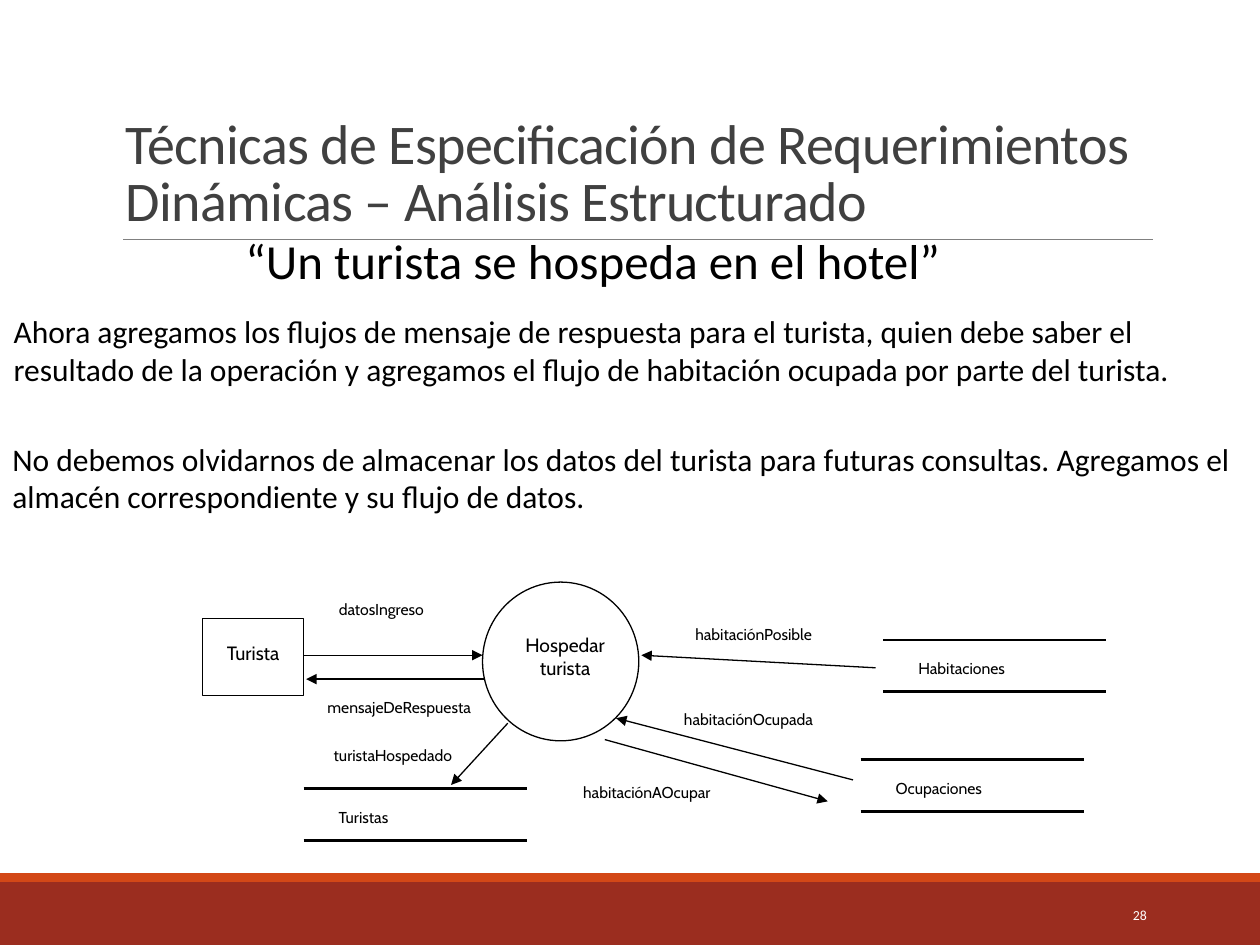
import dataclasses

import pptx
import pptx.dml.color
import pptx.enum.shapes
import pptx.enum.text
import pptx.oxml
import pptx.oxml.ns
import pptx.util

Inches = pptx.util.Inches
Pt = pptx.util.Pt
RGBColor = pptx.dml.color.RGBColor
Shape = pptx.enum.shapes.MSO_SHAPE
Align = pptx.enum.text.PP_ALIGN
Anchor = pptx.enum.text.MSO_ANCHOR

BLACK = RGBColor(0, 0, 0)
WHITE = RGBColor(255, 255, 255)
GRAY = RGBColor(0x80, 0x80, 0x80)
DARK = RGBColor(0x40, 0x40, 0x40)
RED = RGBColor(0x9B, 0x2D, 0x1F)
ORANGE = RGBColor(0xD3, 0x48, 0x17)


@dataclasses.dataclass
class Box:
    left: float
    top: float
    width: float
    height: float


@dataclasses.dataclass
class Style:
    size: float
    font: str = "Cabin"
    color: RGBColor = BLACK
    align: Align = Align.LEFT
    anchor: Anchor = Anchor.TOP
    inset: float = 0.05


@dataclasses.dataclass
class Label:
    text: str
    box: Box
    style: Style


@dataclasses.dataclass
class Flow:
    name: str
    left: float
    top: float
    start: tuple[float, float]
    end: tuple[float, float]


@dataclasses.dataclass
class Store:
    name: str
    left: float
    top: float


SMALL = Style(9)
NODE = Style(11, align=Align.CENTER)
BODY = Style(18, "Calibri")

LABELS = [
    Label("Técnicas de Especificación de Requerimientos\vDinámicas – Análisis Estructurado",
          Box(0.9, 0.31, 8.25, 1.59),
          Style(32, "Calibri", DARK, anchor=Anchor.BOTTOM)),
    Label("“Un turista se hospeda en el hotel”",
          Box(1.85, 1.78, 6.93, 0.57), Style(28, "Calibri")),
    Label("Ahora agregamos los flujos de mensaje de respuesta para el turista, "
          "quien debe saber el resultado de la operación y agregamos el flujo "
          "de habitación ocupada por parte del turista.",
          Box(0.01, 2.43, 9.8, 1.01), BODY),
    Label("No debemos olvidarnos de almacenar los datos del turista para "
          "futuras consultas. Agregamos el almacén correspondiente y su "
          "flujo de datos.",
          Box(0, 3.44, 10, 1.01), BODY),
    Label("28", Box(8.12, 7.06, 1.08, 0.4),
          Style(7.9, "Calibri", WHITE, Align.RIGHT, Anchor.MIDDLE)),
]

FLOWS = [
    Flow("datosIngreso", 2.59, 4.71, (2.41, 5.2), (3.83, 5.2)),
    Flow("mensajeDeRespuesta", 2.5, 5.49, (3.85, 5.39), (2.43, 5.39)),
    Flow("turistaHospedado", 2.55, 5.87, (4.03, 5.74), (3.58, 6.23)),
    Flow("habitaciónPosible", 5.42, 4.91, (6.95, 5.3), (5.09, 5.2)),
    Flow("habitaciónOcupada", 5.33, 5.58, (6.77, 6.19), (4.89, 5.7)),
    Flow("habitaciónAOcupar", 4.53, 6.16, (4.8, 5.87), (6.57, 6.36)),
]

STORES = [
    Store("Habitaciones", 7.01, 5.08),
    Store("Ocupaciones", 6.83, 6.03),
    Store("Turistas", 2.41, 6.26),
]


def place(box: Box) -> list:
    return [Inches(n) for n in dataclasses.astuple(box)]


def write(shape, text: str, style: Style) -> None:
    frame = shape.text_frame
    frame.text = text
    frame.word_wrap = True
    frame.vertical_anchor = style.anchor
    frame.margin_top = Inches(style.inset)
    par = frame.paragraphs[0]
    par.alignment = style.align
    for run in par.runs:
        run.font.size = Pt(style.size)
        run.font.name = style.font
        run.font.color.rgb = style.color


def add_label(slide, label: Label):
    shape = slide.shapes.add_textbox(*place(label.box))
    write(shape, label.text, label.style)
    return shape


def add_shape(slide, kind: Shape, box: Box, fill: RGBColor, edge: bool = False):
    shape = slide.shapes.add_shape(kind, *place(box))
    shape.shadow.inherit = False
    shape.fill.solid()
    shape.fill.fore_color.rgb = fill
    if edge:
        shape.line.color.rgb = BLACK
        shape.line.width = Pt(0.75)
    else:
        shape.line.fill.background()
    return shape


def add_line(slide, start: tuple[float, float], end: tuple[float, float],
             width: float, color: RGBColor = BLACK, arrow: bool = False) -> None:
    kind = pptx.enum.shapes.MSO_CONNECTOR.STRAIGHT
    line = slide.shapes.add_connector(kind, *[Inches(n) for n in start + end])
    line.line.color.rgb = color
    line.line.width = Pt(width)
    if arrow:
        tail = pptx.oxml.parse_xml(
            f'<a:tailEnd {pptx.oxml.ns.nsdecls("a")} type="triangle"/>')
        line.line._get_or_add_ln().append(tail)
    line._element.spPr.append(pptx.oxml.parse_xml(
        f'<a:effectLst {pptx.oxml.ns.nsdecls("a")}/>'))


def add_flow(slide, flow: Flow) -> None:
    add_line(slide, flow.start, flow.end, 0.75, arrow=True)
    add_label(slide, Label(flow.name, Box(flow.left, flow.top, 1.59, 0.29), SMALL))


def add_store(slide, store: Store) -> None:
    for y in (store.top, store.top + 0.41):
        add_line(slide, (store.left, y), (store.left + 1.77, y), 1.5)
    box = Box(store.left + 0.18, store.top + 0.1, 1.24, 0.39)
    add_label(slide, Label(store.name, box, SMALL))


def main() -> None:
    deck = pptx.Presentation()
    deck.slide_width = Inches(10)
    deck.slide_height = Inches(7.5)
    slide = deck.slides.add_slide(deck.slide_layouts[6])

    add_shape(slide, Shape.RECTANGLE, Box(0, 7, 10, 0.5), RED)
    add_shape(slide, Shape.RECTANGLE, Box(0, 6.93, 10, 0.07), ORANGE)
    add_line(slide, (0.98, 1.9), (9.15, 1.9), 0.5, GRAY)

    title, *_ = [add_label(slide, label) for label in LABELS]
    par = title.text_frame.paragraphs[0]
    par.line_spacing = 0.85
    for run in par.runs:
        run.font._element.set("spc", "-40")

    add_shape(slide, Shape.OVAL, Box(3.83, 4.62, 1.24, 1.26), WHITE, True)
    add_label(slide, Label("Hospedar turista", Box(3.91, 4.98, 1.15, 0.6), NODE))
    guest = add_shape(slide, Shape.RECTANGLE, Box(1.61, 4.91, 0.8, 0.61), WHITE, True)
    write(guest, "Turista", dataclasses.replace(NODE, inset=0.18))

    for flow in FLOWS:
        add_flow(slide, flow)
    for store in STORES:
        add_store(slide, store)
    deck.save("out.pptx")


if __name__ == "__main__":
    main()
